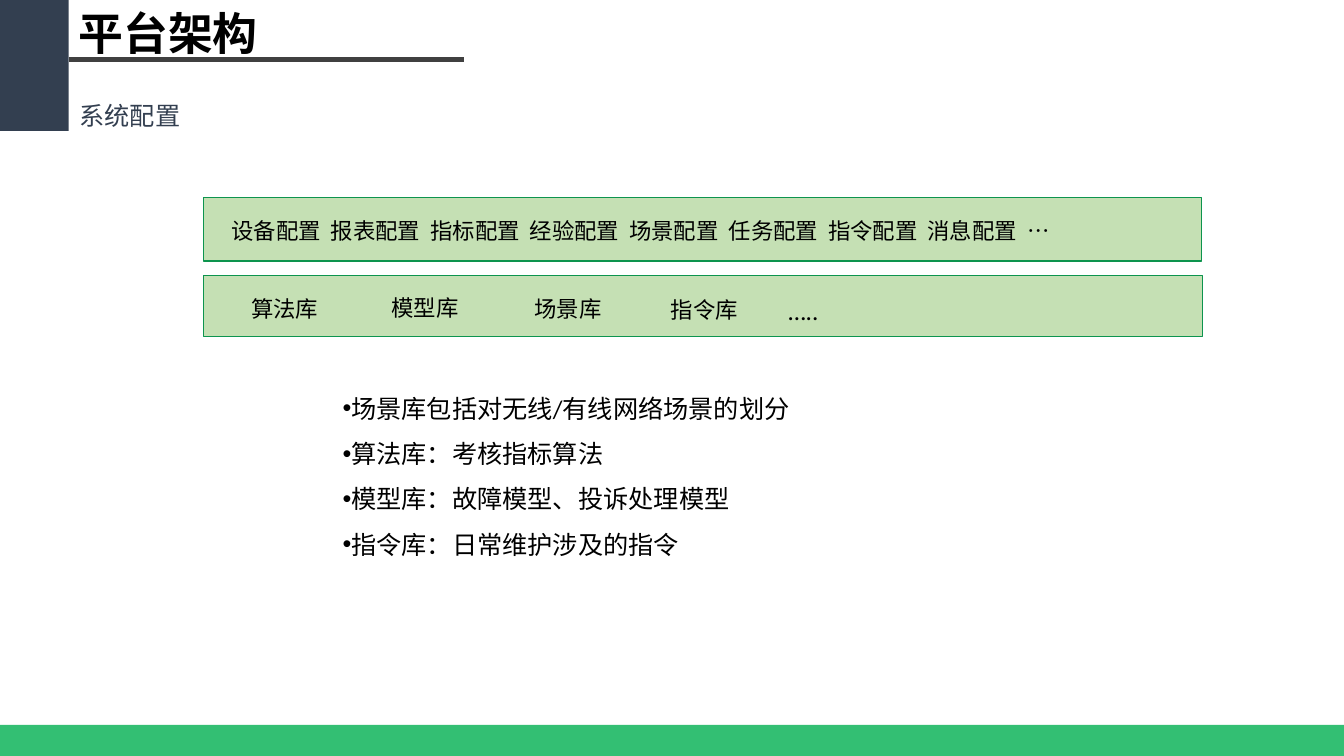
import pptx
import pptx.util
import pptx.dml.color
import pptx.enum.shapes
import pptx.enum.text
import pptx.oxml
import pptx.oxml.ns
from lxml import etree

Inches, Pt = pptx.util.Inches, pptx.util.Pt
KIND = pptx.enum.shapes.MSO_SHAPE
ALIGN = pptx.enum.text.PP_ALIGN
ANCHOR = pptx.enum.text.MSO_ANCHOR

# Content
TITLE = "平台架构"
SUB = "系统配置"
CONFIG = ["设备配置", "报表配置", "指标配置", "经验配置", "场景配置",
          "任务配置", "指令配置", "消息配置", "…"]
STORES = [("算法库", 2.23, 2.83), ("模型库", 3.62, 2.82),
          ("场景库", 5.04, 2.83), ("指令库", 6.39, 2.84)]
MORE = "….."
NOTES = ["场景库包括对无线/有线网络场景的划分", "算法库：考核指标算法",
         "模型库：故障模型、投诉处理模型", "指令库：日常维护涉及的指令"]
BARS = [(1.96, 0.63, 1), (2.73, 0.61, 0.25)]  # top, height, line width

THEME = {"navy": "333F50", "rule": "404040", "foot": "00B050",
         "bar": "C5E0B4", "edge": "0D944E", "ink": "000000",
         "cjk": "Noto Sans CJK SC", "latin": "Calibri",
         "title": 32, "body": 18, "label": 16}
TAB_SPAN = 7.89  # from the first config item to the last

deck = pptx.Presentation()
deck.slide_width, deck.slide_height = Inches(13.33), Inches(7.5)
slide = deck.slides.add_slide(deck.slide_layouts[6])


def color(name):
    return pptx.dml.color.RGBColor.from_string(THEME[name])


def sub(node, tag, **attrs):
    return etree.SubElement(node, pptx.oxml.ns.qn(tag), attrs)


def block(box, fill=None, edge=None, width=1, kind=KIND.RECTANGLE):
    shape = slide.shapes.add_shape(kind, *map(Inches, box))
    shape.shadow.inherit = False
    if fill:
        shape.fill.solid()
        shape.fill.fore_color.rgb = color(fill)
    else:
        shape.fill.background()
    if edge:
        shape.line.color.rgb = color(edge)
        shape.line.width = Pt(width)
    else:
        shape.line.fill.background()
    return shape


def write(para, text, size="body", face="latin", ink="ink", bold=False):
    run = para.add_run()
    run.text = text
    font = run.font
    font.size, font.bold, font.name = Pt(THEME[size]), bold, THEME[face]
    font.color.rgb = color(ink)
    sub(run._r.get_or_add_rPr(), "a:ea", typeface=THEME["cjk"])


def text_box(box):
    frame = slide.shapes.add_textbox(*map(Inches, box)).text_frame
    frame.word_wrap = True
    return frame


def chip(box, align, wrap):
    shape = block(box, kind=KIND.ROUNDED_RECTANGLE)
    shape.adjustments[0] = 0.2
    frame = shape.text_frame
    frame.margin_left = frame.margin_right = Inches(0.04)
    frame.margin_top = frame.margin_bottom = Inches(0.04)
    frame.vertical_anchor, frame.word_wrap = ANCHOR.MIDDLE, wrap
    para = frame.paragraphs[0]
    para.alignment = align
    return para


# Frame of the page
block((0, 0, 0.68, 1.3), "navy")
rule = slide.shapes.add_connector(
    pptx.enum.shapes.MSO_CONNECTOR.STRAIGHT,
    Inches(0.68), Inches(0.59), Inches(4.6), Inches(0.59))
rule.line.color.rgb, rule.line.width = color("rule"), Pt(3)
sub(rule._element.spPr, "a:effectLst")
foot = block((0, 7.19, 13.33, 0.31), "foot")
tint = foot._element.spPr.find(".//" + pptx.oxml.ns.qn("a:srgbClr"))
sub(tint, "a:alpha", val="80000")

# Headings
write(text_box((0.68, 0.01, 2.01, 0.64)).paragraphs[0], TITLE,
      "title", "cjk", bold=True)
write(text_box((0.69, 0.95, 4.31, 0.4)).paragraphs[0], SUB, ink="navy")

# Bars
for top, high, width in BARS:
    block((2.02, top, 9.9, high), "bar", "edge", width)

# Config items on even tab stops
row = chip((2.23, 2.06, 9.27, 0.46), ALIGN.LEFT, True)
tabs = sub(row._p.get_or_add_pPr(), "a:tabLst")
step = TAB_SPAN / (len(CONFIG) - 1)
for i in range(1, len(CONFIG)):
    sub(tabs, "a:tab", pos=str(Inches(step * i)), algn="l")
write(row, "\t".join(CONFIG), "label", "cjk")

# Stores
for name, left, top in STORES:
    write(chip((left, top, 1.19, 0.46), ALIGN.CENTER, False),
          name, "label", "cjk")
write(text_box((7.72, 2.88, 1.53, 0.4)).paragraphs[0], MORE)

# Bulleted notes
frame = text_box((2.68, 3.7, 6.47, 2.37))
for i, note in enumerate(NOTES):
    para = frame.add_paragraph() if i else frame.paragraphs[0]
    para.line_spacing = 1.5
    props = para._p.get_or_add_pPr()
    props.set("marL", str(Inches(0.31)))
    props.set("indent", str(Inches(0.31)))
    sub(props, "a:buFont", typeface="Arial")
    sub(props, "a:buChar", char="•")
    write(para, note)

deck.save("out.pptx")
